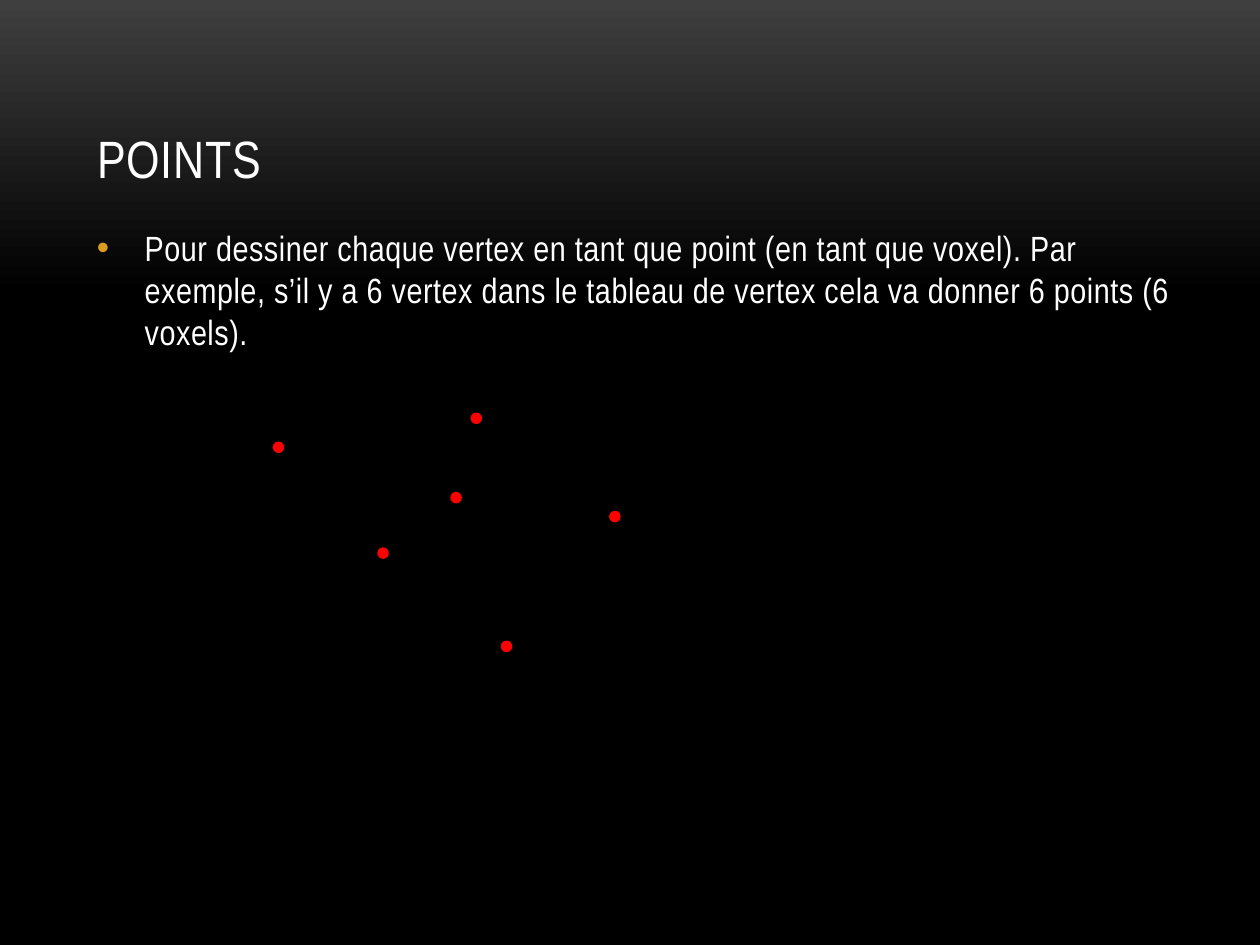
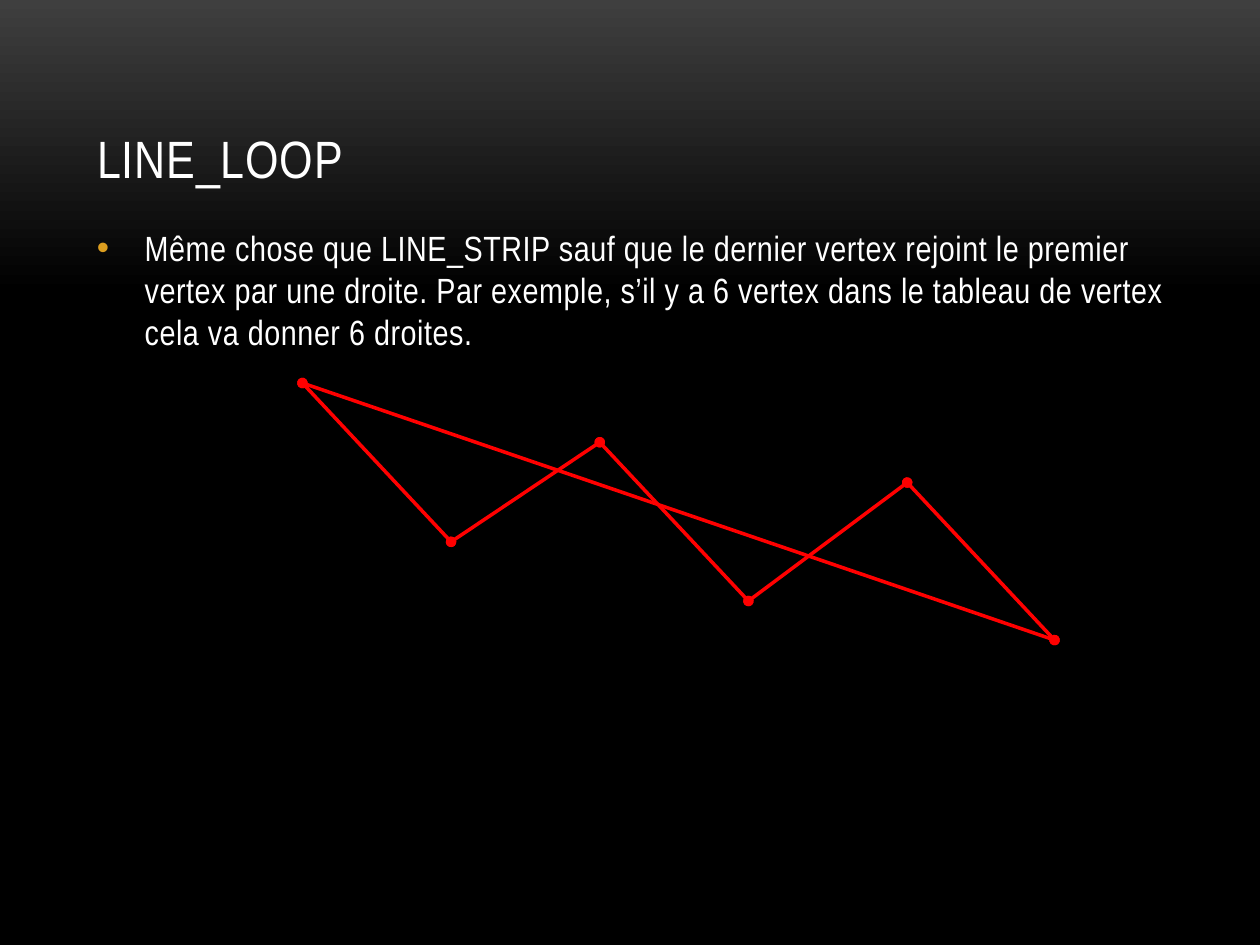
from lxml import etree
from pptx import Presentation
from pptx import util as u
from pptx.dml.color import RGBColor
from pptx.enum import shapes, text
from pptx.oxml.ns import qn

FONT = "Arial Narrow"
WHITE, RED, GOLD, GREY, BLACK = "FFFFFF", "FF0000", "DC9E1F", "3F3F3F", "000000"
DOT = 0.08
INDENT = 0.38

POINTS = {
    "title": "POINTS",
    "body": "Pour dessiner chaque vertex en tant que point (en tant que voxel). "
            "Par exemple, s’il y a 6 vertex dans le tableau de vertex cela va "
            "donner 6 points (6 voxels).",
    "vertices": [(2.17, 3.51), (3.58, 3.91), (4.84, 4.06),
                 (3.74, 3.28), (3.98, 5.09), (3, 4.35)],
}
LINE_LOOP = {
    "title": "LINE_LOOP",
    "body": "Même chose que LINE_STRIP sauf que le dernier vertex rejoint le "
            "premier vertex par une droite. Par exemple, s’il y a 6 vertex dans "
            "le tableau de vertex cela va donner 6 droites.",
    "vertices": [(2.4, 3.04), (3.58, 4.3), (4.76, 3.51),
                 (5.94, 4.77), (7.2, 3.83), (8.37, 5.08)],
}


def color(value):
    return RGBColor.from_string(value)


def inches(*values):
    return [u.Inches(value) for value in values]


def place(box, left, top, width, height):
    box.left, box.top, box.width, box.height = inches(left, top, width, height)


def write(para, words, size, spacing):
    para.alignment = text.PP_ALIGN.LEFT
    span = para.add_run()
    span.text = words
    span.font.name = FONT
    span.font.size = u.Pt(size)
    span.font.color.rgb = color(WHITE)
    span.font._element.set("spc", str(round(spacing * 100)))


def add_bullet(para):
    props = para._p.get_or_add_pPr()
    props.set("marL", str(u.Inches(INDENT)))
    props.set("indent", str(-u.Inches(INDENT)))
    tint = etree.SubElement(props, qn("a:buClr"))
    etree.SubElement(tint, qn("a:srgbClr"), val=GOLD)
    etree.SubElement(props, qn("a:buFont"), typeface="Arial")
    etree.SubElement(props, qn("a:buChar"), char="•")


def paint_background(deck):
    fill = deck.slide_master.background.fill
    fill.gradient()
    fill.gradient_angle = 270
    for stop, (position, value) in zip(fill.gradient_stops, [(0, GREY), (0.31, BLACK)]):
        stop.position = position
        stop.color.rgb = color(value)


def add_page(deck, content):
    page = deck.slides.add_slide(deck.slide_layouts[5])
    title = page.shapes.title
    place(title, 0.67, 0.3, 8.67, 1.25)
    title.text_frame.vertical_anchor = text.MSO_ANCHOR.BOTTOM
    write(title.text_frame.paragraphs[0], content["title"], 30, 0.5)

    body = page.shapes.add_textbox(*inches(0.67, 1.75, 8.98, 4.5))
    body.text_frame.word_wrap = True
    para = body.text_frame.paragraphs[0]
    para.space_before, para.space_after = u.Pt(4), u.Pt(6)
    add_bullet(para)
    write(para, content["body"], 20, 0.3)
    return page


def add_dot(page, left, top):
    dot = page.shapes.add_shape(shapes.MSO_SHAPE.OVAL, *inches(left, top, DOT, DOT))
    dot.shadow.inherit = False
    dot.fill.solid()
    dot.fill.fore_color.rgb = color(RED)
    dot.line.color.rgb = color(RED)
    dot.line.width = u.Pt(0.85)


def add_edge(page, start, end):
    edge = page.shapes.add_connector(shapes.MSO_CONNECTOR.STRAIGHT, *inches(*start, *end))
    edge.line.color.rgb = color(RED)
    edge.line.width = u.Pt(2)
    for side in ("a:headEnd", "a:tailEnd"):
        etree.SubElement(edge.line._get_or_add_ln(), qn(side), type="oval")
    etree.SubElement(edge._element.spPr, qn("a:effectLst"))


def main():
    deck = Presentation()
    deck.slide_width, deck.slide_height = inches(10, 7.5)
    paint_background(deck)

    page = add_page(deck, POINTS)
    for vertex in POINTS["vertices"]:
        add_dot(page, *vertex)

    page = add_page(deck, LINE_LOOP)
    vertices = LINE_LOOP["vertices"]
    for start, end in zip(vertices, vertices[1:] + vertices[:1]):
        add_edge(page, start, end)

    deck.save("out.pptx")


if __name__ == "__main__":
    main()
